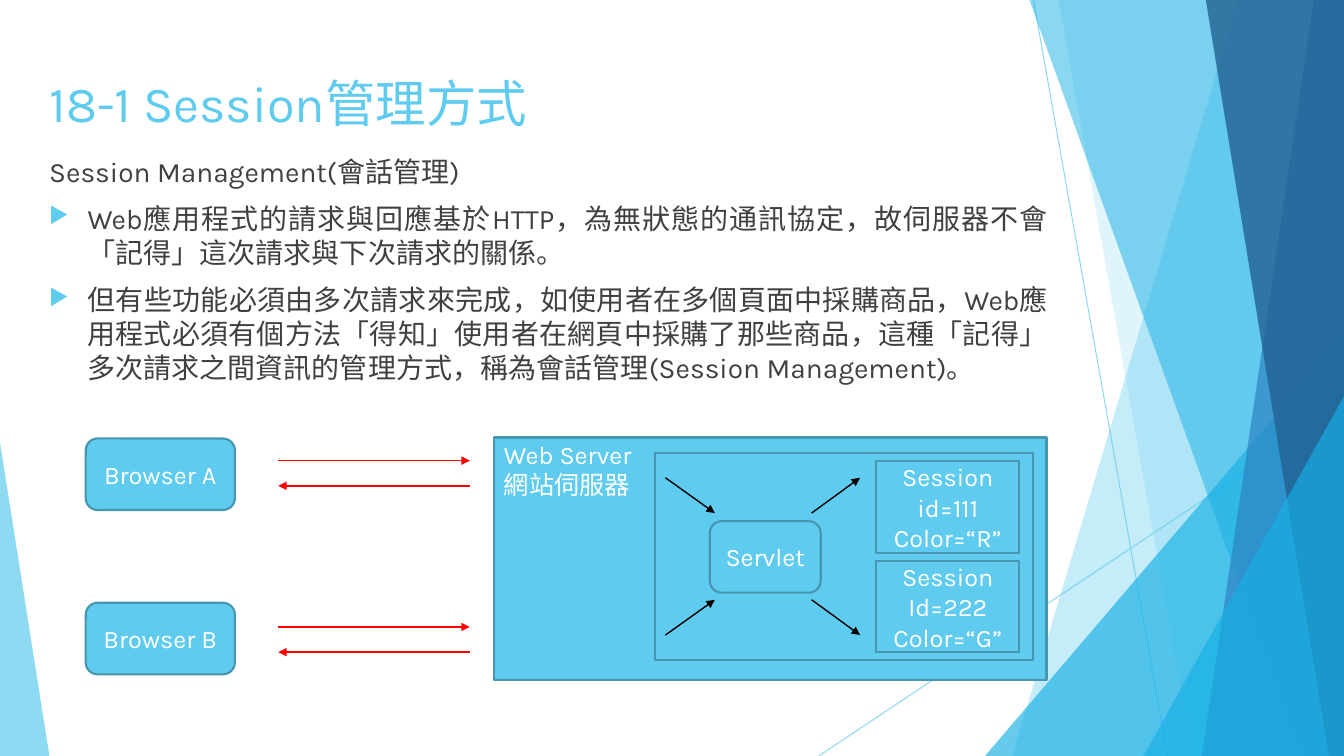
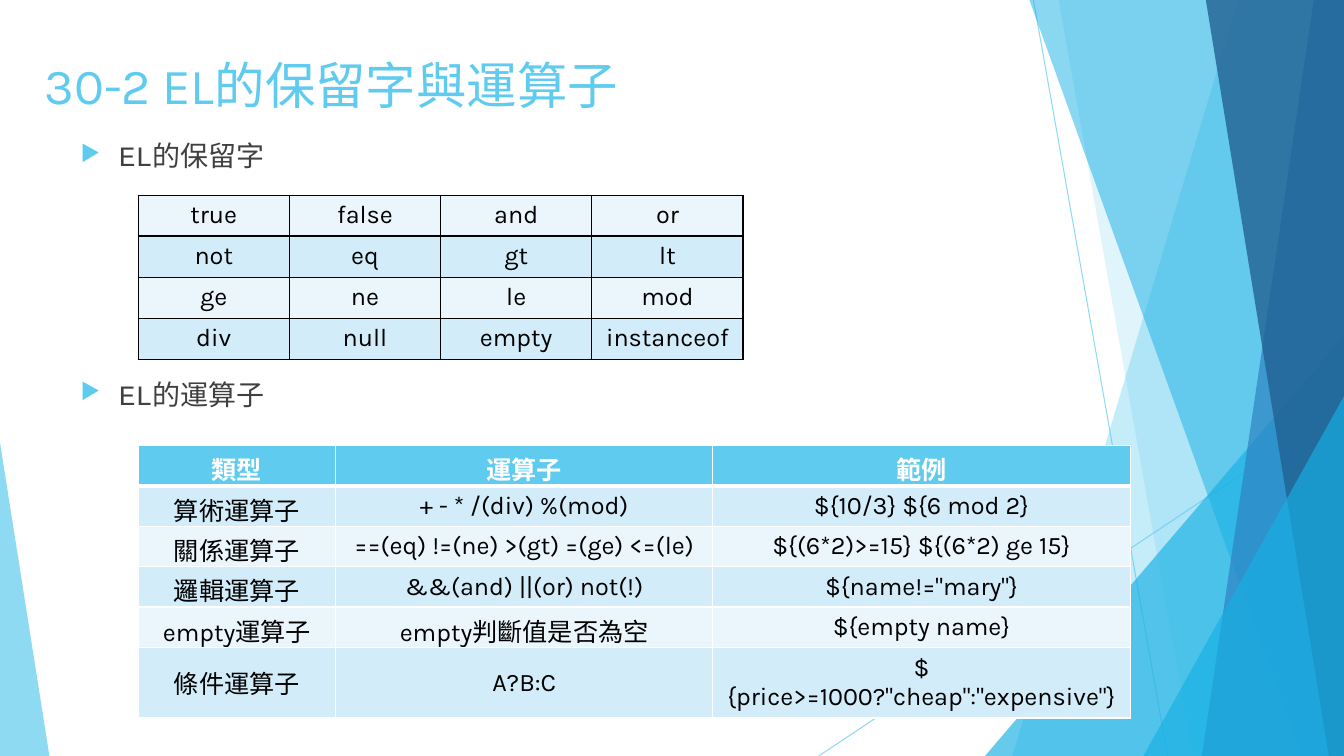
"""Build two lecture slides: session management, and EL reserved words and operators."""
from dataclasses import dataclass

from lxml import etree
from pptx import Presentation
from pptx.dml.color import RGBColor
from pptx.enum.shapes import MSO_CONNECTOR, MSO_SHAPE
from pptx.enum.text import MSO_ANCHOR, PP_ALIGN
from pptx.oxml.ns import qn
from pptx.util import Inches, Pt

RECT, ROUND = MSO_SHAPE.RECTANGLE, MSO_SHAPE.ROUNDED_RECTANGLE
TRIANGLE, STRAIGHT = MSO_SHAPE.ISOSCELES_TRIANGLE, MSO_CONNECTOR.STRAIGHT
TOP, MIDDLE = MSO_ANCHOR.TOP, MSO_ANCHOR.MIDDLE
LEFT, CENTER, JUSTIFY = PP_ALIGN.LEFT, PP_ALIGN.CENTER, PP_ALIGN.JUSTIFY


@dataclass(frozen=True)
class Theme:
    """Colours, fonts and type sizes shared by the slides."""
    sky: str = "5FCBEF"
    cyan: str = "17B0E4"
    blue: str = "2E83C3"
    navy: str = "226292"
    edge: str = "4696B1"
    text: str = "404040"
    black: str = "000000"
    white: str = "FFFFFF"
    red: str = "FF0000"
    pale: str = "EAF6FC"
    tint: str = "D2ECF9"
    font: str = "Karla"
    mono: str = "Courier New"
    title: int = 36
    body: int = 20
    label: int = 18


T = Theme()
WIDTH, HEIGHT = 13.33, 7.5

BACKDROP = [
    ("line", (10.25, 0, 11.58, HEIGHT), T.sky, 70),
    ("line", (WIDTH, 4.03, 8.12, HEIGHT), T.sky, 70),
    ("band", (12.28, 10.04), T.sky, 36),
    ("band", (10.5, 11.83), T.sky, 20),
    ("triangle", (9.77, 3.33, 3.56, 1), T.cyan, 66),
    ("band", (10.21, 12.91), T.cyan, 50),
    ("band", (13.03, 11.92), T.blue, 70),
    ("band", (11.96, 13.18), T.navy, 80),
    ("triangle", (11.34, 3.93, 1.99, 1), T.cyan, 66),
    ("triangle", (0, 4.39, 0.49, 0), T.sky, 70),
]

SESSION_TITLE = "18-1 Session管理方式"
SESSION_BODY = [
    ("Session Management(會話管理)", False, 0),
    ("Web應用程式的請求與回應基於HTTP，為無狀態的通訊協定，故伺服器不會「記得」這次請求與下次請求的關係。",
     True, 10),
    ("但有些功能必須由多次請求來完成，如使用者在多個頁面中採購商品，Web應用程式必須有個方法「得知」"
     "使用者在網頁中採購了那些商品，這種「記得」多次請求之間資訊的管理方式，稱為會話管理(Session Management)。",
     True, 10),
]
BOXES = [
    (ROUND, (0.85, 4.35, 1.48, 0.71), ["Browser A"], CENTER, MIDDLE),
    (ROUND, (0.85, 5.98, 1.48, 0.71), ["Browser B"], CENTER, MIDDLE),
    (RECT, (4.9, 4.34, 5.48, 2.41), ["Web Server", "網站伺服器"], LEFT, TOP),
    (RECT, (6.5, 4.49, 3.75, 2.06), [], CENTER, MIDDLE),
    (ROUND, (7.04, 5.17, 1.1, 0.71), ["Servlet"], CENTER, MIDDLE),
    (RECT, (8.69, 4.57, 1.42, 0.92), ["Session", "id=111", "Color=“R”"], CENTER, MIDDLE),
    (RECT, (8.69, 5.57, 1.42, 0.9), ["Session", "Id=222", "Color=“G”"], CENTER, MIDDLE),
]
REQUEST_ROWS = [4.57, 6.22]
REQUEST_X, REPLY_GAP = (2.76, 4.66), 0.25
SERVLET_ARROWS = [
    (6.6, 4.74, 7.09, 5.09),
    (6.6, 6.3, 7.09, 5.95),
    (8.05, 5.09, 8.53, 4.74),
    (8.05, 5.95, 8.53, 6.3),
]

EL_TITLE = "30-2 EL的保留字與運算子"
EL_BODY = [("EL的保留字", True, 0), ("EL的運算子", True, 146)]
RESERVED = [
    ["true", "false", "and", "or"],
    ["not", "eq", "gt", "lt"],
    ["ge", "ne", "le", "mod"],
    ["div", "null", "empty", "instanceof"],
]
OPERATORS = [
    ["類型", "運算子", "範例"],
    ["算術運算子", "+ - * /(div) %(mod)", "${10/3} ${6 mod 2}"],
    ["關係運算子", "==(eq) !=(ne) >(gt) =(ge) <=(le)", "${(6*2)>=15} ${(6*2) ge 15}"],
    ["邏輯運算子", "&&(and) ||(or) not(!)", '${name!="mary"}'],
    ["empty運算子", "empty判斷值是否為空", "${empty name}"],
    ["條件運算子", "A?B:C", '${price>=1000?"cheap":"expensive"}'],
]


def rgb(value):
    """Return a colour object for a hex value."""
    return RGBColor.from_string(value)


def child(parent, tag, **attrs):
    """Append an XML element with attributes."""
    el = etree.SubElement(parent, qn(tag))
    for key, value in attrs.items():
        el.set(key, str(value))
    return el


def add_run(p, text, size, color, east=True, **fmt):
    """Add a formatted run; east also names the font for Chinese text."""
    r = p.add_run()
    r.text = text
    for key, value in {"name": T.font, "size": Pt(size), **fmt}.items():
        setattr(r.font, key, value)
    r.font.color.rgb = rgb(color)
    if east:
        child(r._r.get_or_add_rPr(), "a:ea", typeface=T.font)


def set_alpha(sp, percent):
    """Make the solid colour of a fill or line partly transparent."""
    for color in sp._element.spPr.iter(qn("a:srgbClr")):
        child(color, "a:alpha", val=percent * 1000)


def paint(sp, fill, line=None):
    """Set fill and outline, without a shadow."""
    sp.shadow.inherit = False
    sp.fill.solid()
    sp.fill.fore_color.rgb = rgb(fill)
    if line:
        sp.line.color.rgb = rgb(line)
        sp.line.width = Pt(1.5)
    else:
        sp.line.fill.background()


def add_line(slide, ends, color, width, arrow=False):
    """Add a straight line, with an arrowhead at its end if wanted."""
    sp = slide.shapes.add_connector(STRAIGHT, *map(Inches, ends))
    sp.line.color.rgb = rgb(color)
    sp.line.width = Pt(width)
    if arrow:
        child(sp.line._get_or_add_ln(), "a:tailEnd", type="triangle")
    child(sp._element.spPr, "a:effectLst")
    return sp


def add_band(slide, top_x, bottom_x):
    """Add a full-height band that reaches the right edge."""
    fb = slide.shapes.build_freeform(Inches(top_x), 0)
    corners = [(WIDTH, 0), (WIDTH, HEIGHT), (bottom_x, HEIGHT)]
    fb.add_line_segments([(Inches(x), Inches(y)) for x, y in corners])
    return fb.convert_to_shape()


def add_triangle(slide, x, y, w, apex):
    """Add a triangle that stands on the bottom edge."""
    sp = slide.shapes.add_shape(TRIANGLE, *map(Inches, (x, y, w, HEIGHT - y)))
    sp.adjustments[0] = apex
    return sp


def add_backdrop(slide, layout):
    """Draw the facets and hand them to the layout."""
    draw = {"band": add_band, "triangle": add_triangle}
    for number, (kind, place, color, alpha) in enumerate(BACKDROP, 100):
        if kind == "line":
            sp = add_line(slide, place, color, 0.75)
        else:
            sp = draw[kind](slide, *place)
            paint(sp, color)
        set_alpha(sp, alpha)
        sp._element.xpath(".//p:cNvPr")[0].set("id", str(number))
        layout.shapes._spTree.append(sp._element)


def set_title(slide, text, x, y):
    """Place and format the title placeholder."""
    sp = slide.shapes.title
    place = {"left": x, "top": y, "width": 10.18, "height": 1.44}
    for key, value in place.items():
        setattr(sp, key, Inches(value))
    tf = sp.text_frame
    tf.word_wrap, tf.vertical_anchor = True, TOP
    p = tf.paragraphs[0]
    p.alignment = LEFT
    add_run(p, text, T.title, T.sky)


def add_body(slide, items, at, font):
    """Add justified paragraphs, bulleted where marked."""
    tf = slide.shapes.add_textbox(*map(Inches, at)).text_frame
    tf.word_wrap = True
    for i, (text, bullet, before) in enumerate(items):
        p = tf.add_paragraph() if i else tf.paragraphs[0]
        p.alignment, p.space_before = JUSTIFY, Pt(before)
        if bullet:
            pPr = p._p.get_or_add_pPr()
            pPr.set("marL", str(Inches(0.38)))
            pPr.set("indent", str(-Inches(0.38)))
            child(child(pPr, "a:buClr"), "a:srgbClr", val=T.sky)
            child(pPr, "a:buSzPct", val=80000)
            child(pPr, "a:buChar", char="▶")
        add_run(p, text, T.body, T.text, name=font)


def add_box(slide, kind, at, lines, align, anchor):
    """Add a labelled box of the diagram."""
    sp = slide.shapes.add_shape(kind, *map(Inches, at))
    paint(sp, T.sky, T.edge)
    tf = sp.text_frame
    tf.word_wrap, tf.vertical_anchor = True, anchor
    tf.margin_top = tf.margin_bottom = Inches(0.02)
    for i, text in enumerate(lines):
        p = tf.add_paragraph() if i else tf.paragraphs[0]
        p.alignment = align
        add_run(p, text, T.label, T.white)


def set_borders(cell, color, **widths):
    """Draw the four borders of a cell, 1 pt unless given."""
    tcPr = cell._tc.get_or_add_tcPr()
    for side in "LRTB":
        ln = child(tcPr, "a:ln" + side, w=Pt(widths.get(side, 1)))
        child(child(ln, "a:solidFill"), "a:srgbClr", val=color)


def add_grid(slide, rows, at, cols, heights, border, header=False):
    """Add a banded table of centred text."""
    place = (*at, sum(cols), sum(heights))
    tbl = slide.shapes.add_table(len(rows), len(cols), *map(Inches, place)).table
    tbl.first_row, tbl.horz_banding = header, False
    for col, width in zip(tbl.columns, cols):
        col.width = Inches(width)
    for i, (row, height) in enumerate(zip(rows, heights)):
        tbl.rows[i].height = Inches(height)
        head = header and i == 0
        rule = {0: {"B": 3}, 1: {"T": 3}}.get(i, {}) if header else {}
        for j, text in enumerate(row):
            cell = tbl.cell(i, j)
            set_borders(cell, border, **rule)
            cell.fill.solid()
            cell.fill.fore_color.rgb = rgb(T.sky if head else (T.pale, T.tint)[i % 2])
            cell.vertical_anchor = MIDDLE if header else TOP
            p = cell.text_frame.paragraphs[0]
            p.alignment = CENTER
            add_run(p, text, T.label, T.white if head else T.black, east=False, bold=head)


def build_session(slide):
    """Fill the session management slide."""
    set_title(slide, SESSION_TITLE, 0.39, 0.67)
    add_body(slide, SESSION_BODY, (0.39, 1.48, 10.1, 2.5), T.font)
    for box in BOXES:
        add_box(slide, *box)
    start, end = REQUEST_X
    for y in REQUEST_ROWS:
        add_line(slide, (start, y, end, y), T.red, 1, arrow=True)
        add_line(slide, (end, y + REPLY_GAP, start, y + REPLY_GAP), T.red, 1, arrow=True)
    for ends in SERVLET_ARROWS:
        add_line(slide, ends, T.black, 1, arrow=True)


def build_el(slide):
    """Fill the EL slide."""
    set_title(slide, EL_TITLE, 0.34, 0.49)
    add_body(slide, EL_BODY, (0.7, 1.33, 9.82, 2.9), T.mono)
    add_grid(slide, RESERVED, (1.37, 1.94), [1.5] * 4, [0.4] + [0.41] * 3, T.black)
    add_grid(slide, OPERATORS, (1.37, 4.42), [1.96, 3.74, 4.14], [0.36] * 5 + [0.59],
             T.white, header=True)


def main():
    """Create and save the presentation."""
    prs = Presentation()
    prs.slide_width, prs.slide_height = Inches(WIDTH), Inches(HEIGHT)
    layout = prs.slide_layouts[5]
    slides = [prs.slides.add_slide(layout) for _ in range(2)]
    add_backdrop(slides[0], layout)
    build_session(slides[0])
    build_el(slides[1])
    prs.save("out.pptx")


if __name__ == "__main__":
    main()
